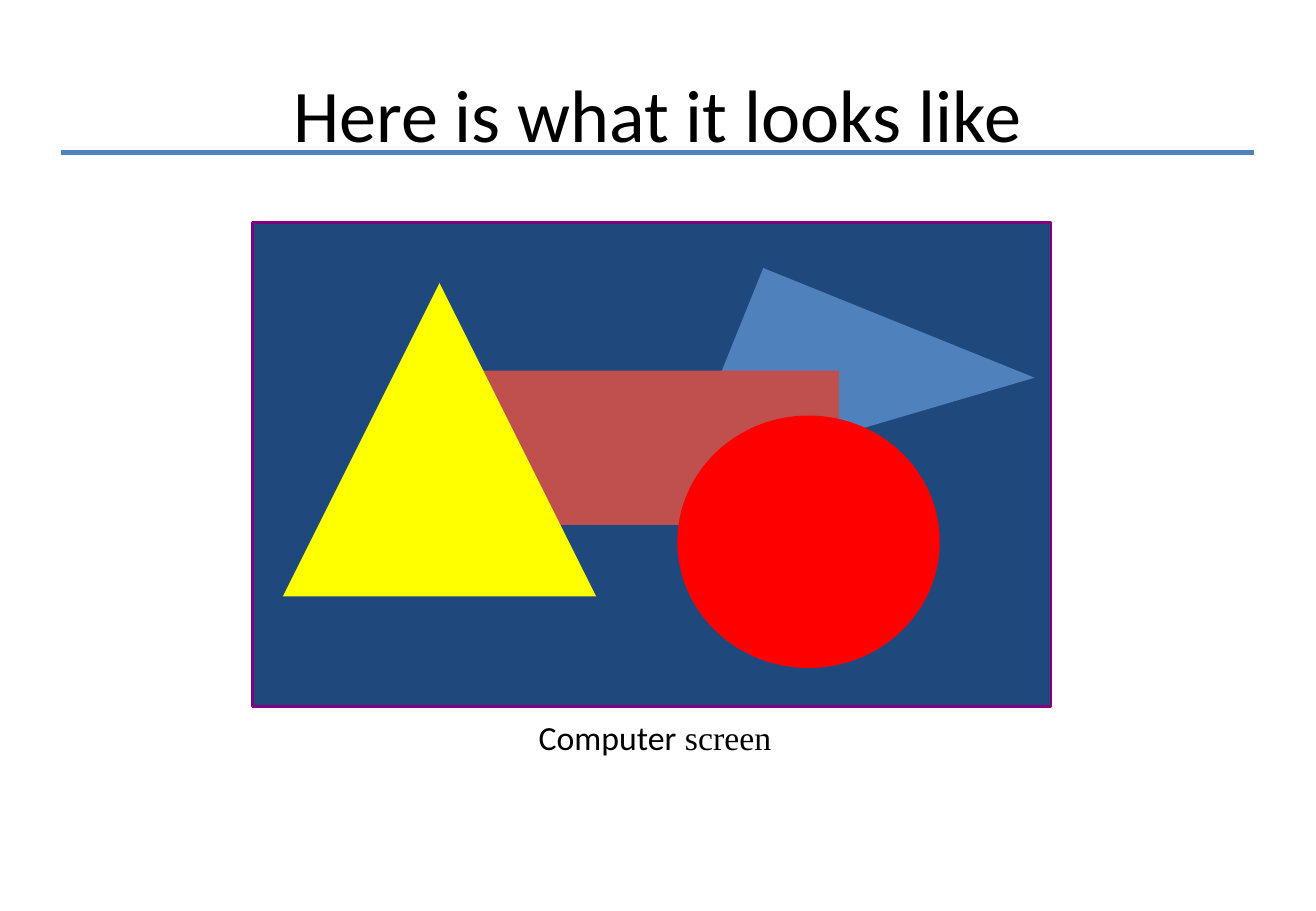
from pptx import Presentation
from pptx.dml.color import RGBColor
from pptx.enum.shapes import MSO_CONNECTOR, MSO_SHAPE
from pptx.enum.text import MSO_ANCHOR, PP_ALIGN
from pptx.oxml.ns import qn
from pptx.util import Cm, Pt
from lxml import etree

LINE = MSO_CONNECTOR.STRAIGHT
RECT = MSO_SHAPE.RECTANGLE
WEDGE = MSO_SHAPE.RIGHT_TRIANGLE
PEAK = MSO_SHAPE.ISOSCELES_TRIANGLE
OVAL = MSO_SHAPE.OVAL
MIDDLE = MSO_ANCHOR.MIDDLE
CENTER = PP_ALIGN.CENTER

COLORS = {
    "ink": "000000",
    "rule": "4F81BD",
    "screen": "1F497D",
    "frame": "800080",
    "wedge": "4F81BD",
    "bar": "C0504D",
    "peak": "FFFF00",
    "disc": "FF0000",
}


class Page:
    def __init__(self, deck):
        self.slide = deck.slides.add_slide(deck.slide_layouts[5])
        self.font = "Calibri"

    def color(self, name):
        return RGBColor.from_string(COLORS[name])

    def title(self, text, left, top, width, height):
        shape = self.slide.shapes.title
        shape.left, shape.top = Cm(left), Cm(top)
        shape.width, shape.height = Cm(width), Cm(height)
        frame = shape.text_frame
        frame.text = text
        frame.vertical_anchor = MIDDLE
        para = frame.paragraphs[0]
        para.alignment = CENTER
        para.font.name = self.font
        para.font.size = Pt(44)
        para.font.color.rgb = self.color("ink")

    def rule(self, left, right, top):
        line = self.slide.shapes.add_connector(
            LINE, Cm(left), Cm(top), Cm(right), Cm(top))
        line.line.color.rgb = self.color("rule")
        line.line.width = Pt(3)
        etree.SubElement(line._element.spPr, qn("a:effectLst"))

    def group(self):
        return self.slide.shapes.add_group_shape()

    def shape(self, group, kind, fill, left, top, width, height, turn=0, edge=None):
        shape = group.shapes.add_shape(
            kind, Cm(left), Cm(top), Cm(width), Cm(height))
        shape.shadow.inherit = False
        shape.rotation = turn
        shape.fill.solid()
        shape.fill.fore_color.rgb = self.color(fill)
        if edge:
            shape.line.color.rgb = self.color(edge)
            shape.line.width = Pt(1.5)
        else:
            shape.line.fill.background()

    def label(self, parts, left, top, width, height):
        box = self.slide.shapes.add_textbox(
            Cm(left), Cm(top), Cm(width), Cm(height))
        box.text_frame.word_wrap = False
        para = box.text_frame.paragraphs[0]
        para.line_spacing = 0.5
        para.font.size = Pt(20)
        para.font.color.rgb = self.color("ink")
        for text, font in parts:
            run = para.add_run()
            run.text = text
            run.font.name = font
            run.font.size = Pt(20)


def main():
    deck = Presentation()
    deck.slide_width, deck.slide_height = Cm(27.53), Cm(19.05)
    page = Page(deck)
    page.rule(1.27, 26.24, 3.18)
    page.title("Here is what it looks like", 1.37, 0.76, 24.77, 3.18)

    scene = page.group()
    page.shape(scene, RECT, "screen", 5.28, 4.65, 16.71, 10.13, edge="frame")
    page.shape(scene, WEDGE, "wedge", 15.47, 5.94, 4.85, 6.12, turn=112)
    page.shape(scene, RECT, "bar", 9.93, 7.75, 7.62, 3.23)
    page.shape(scene, PEAK, "peak", 5.92, 5.92, 6.55, 6.55)
    page.shape(scene, OVAL, "disc", 14.17, 8.69, 5.49, 5.28)

    page.label([("Computer", page.font), (" screen", "Times New Roman")],
               11.02, 15.24, 5.38, 0.69)
    deck.save("out.pptx")


if __name__ == "__main__":
    main()
